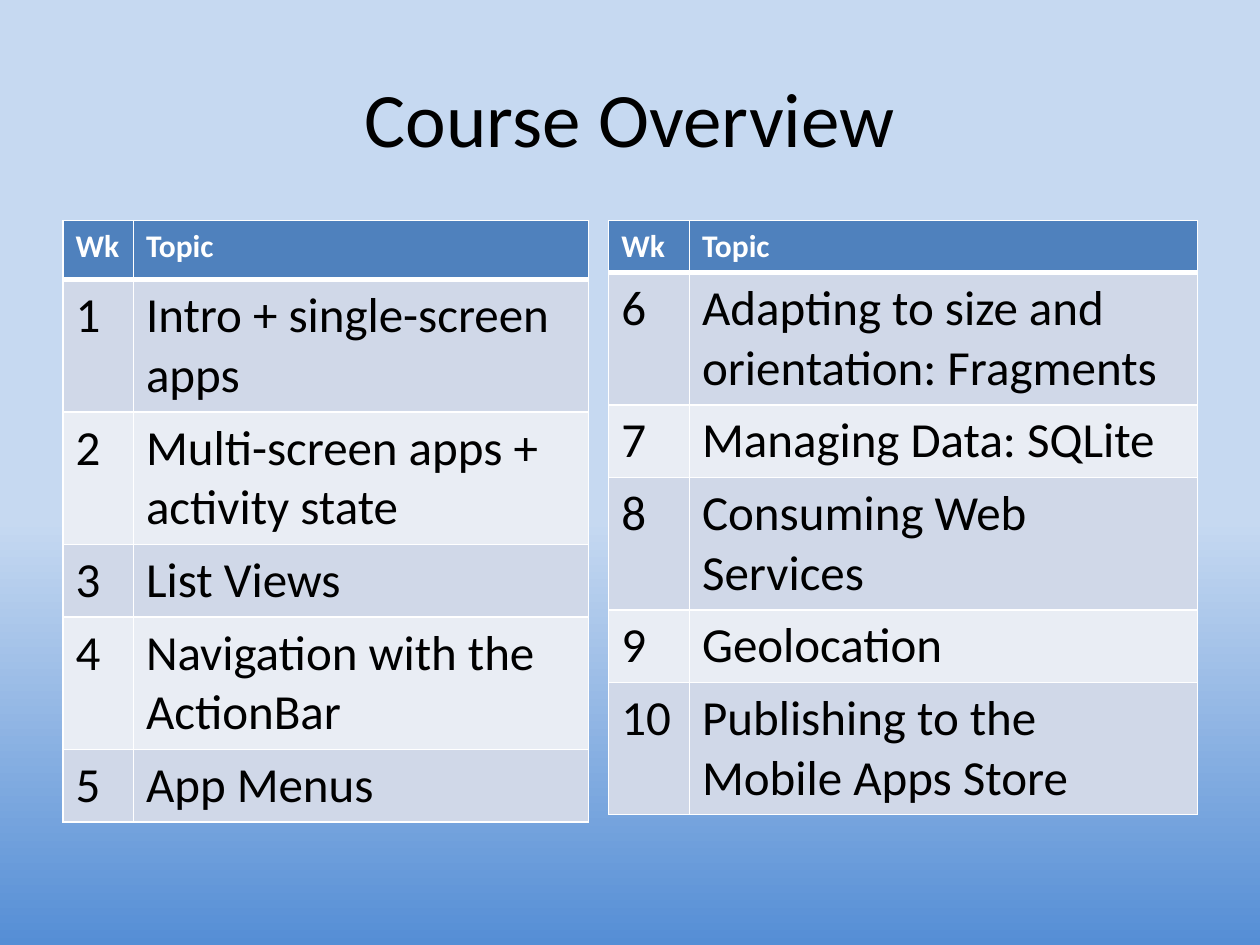
import lxml.etree
import pptx
import pptx.dml.color
import pptx.enum.text
import pptx.oxml.ns
import pptx.util
from pptx.util import Cm

TITLE = "Course Overview"
HEADER = ("Wk", "Topic")
TABLES = [
    {
        "left": 1.27,
        "columns": (1.42, 9.17),
        "rows": (1.19, 1.19, 1.19, 1.19, 1.19, 1.19),
        "weeks": [
            ("1", "Intro + single-screen apps"),
            ("2", "Multi-screen apps + activity state"),
            ("3", "List Views"),
            ("4", "Navigation with the ActionBar"),
            ("5", "App Menus"),
        ],
    },
    {
        "left": 12.27,
        "columns": (1.63, 10.24),
        "rows": (1.04, 2.67, 1.45, 2.67, 1.45, 2.67),
        "weeks": [
            ("6", "Adapting to size and orientation: Fragments"),
            ("7", "Managing Data: SQLite"),
            ("8", "Consuming Web Services"),
            ("9", "Geolocation"),
            ("10", "Publishing to the Mobile Apps Store"),
        ],
    },
]
TABLE_TOP = 4.45
THEME = {
    "font": "Calibri",
    "title_size": 44,
    "header_size": 18,
    "body_size": 28,
    "text": "000000",
    "header_text": "FFFFFF",
    "header_fill": "4F81BD",
    "bands": ("D0D8E8", "E9EDF4"),
    "border": "FFFFFF",
    "thin": 1,
    "thick": 3,
    "gradient": ((0.55, "C6D9F1"), (1, "558ED5")),
}


def color(value):
    return pptx.dml.color.RGBColor.from_string(value)


def format_paragraph(paragraph, size, text_color, bold=False):
    font = paragraph.font
    font.name = THEME["font"]
    font.size = pptx.util.Pt(size)
    font.bold = bold
    font.color.rgb = color(text_color)


def set_borders(cell, top, bottom):
    properties = cell._tc.get_or_add_tcPr()
    qualified = pptx.oxml.ns.qn
    widths = {"lnL": THEME["thin"], "lnR": THEME["thin"], "lnT": top, "lnB": bottom}
    for index, (side, width) in enumerate(widths.items()):
        line = lxml.etree.Element(qualified("a:" + side), w=str(pptx.util.Pt(width)))
        fill = lxml.etree.SubElement(line, qualified("a:solidFill"))
        lxml.etree.SubElement(fill, qualified("a:srgbClr"), val=THEME["border"])
        properties.insert(index, line)


def add_schedule(slide, schedule):
    records = [HEADER] + schedule["weeks"]
    columns, rows = schedule["columns"], schedule["rows"]
    table = slide.shapes.add_table(
        len(records), len(HEADER), Cm(schedule["left"]), Cm(TABLE_TOP),
        Cm(sum(columns)), Cm(sum(rows)),
    ).table
    for column, width in zip(table.columns, columns):
        column.width = Cm(width)
    for row_index, record in enumerate(records):
        table.rows[row_index].height = Cm(rows[row_index])
        is_header = row_index == 0
        fill = THEME["header_fill"] if is_header else THEME["bands"][(row_index - 1) % 2]
        size = THEME["header_size"] if is_header else THEME["body_size"]
        text_color = THEME["header_text"] if is_header else THEME["text"]
        top = THEME["thick"] if row_index == 1 else THEME["thin"]
        bottom = THEME["thick"] if is_header else THEME["thin"]
        for column_index, text in enumerate(record):
            cell = table.cell(row_index, column_index)
            cell.text = text
            cell.fill.solid()
            cell.fill.fore_color.rgb = color(fill)
            format_paragraph(cell.text_frame.paragraphs[0], size, text_color, is_header)
            set_borders(cell, top, bottom)


def add_background(slide):
    fill = slide.background.fill
    fill.gradient()
    fill.gradient_angle = 270
    for stop, (position, value) in zip(fill.gradient_stops, THEME["gradient"]):
        stop.position = position
        stop.color.rgb = color(value)


def add_title(slide):
    title = slide.shapes.title
    title.left, title.top, title.width, title.height = Cm(1.27), Cm(0.76), Cm(22.86), Cm(3.18)
    title.text_frame.text = TITLE
    title.text_frame.vertical_anchor = pptx.enum.text.MSO_ANCHOR.MIDDLE
    paragraph = title.text_frame.paragraphs[0]
    paragraph.alignment = pptx.enum.text.PP_ALIGN.CENTER
    format_paragraph(paragraph, THEME["title_size"], THEME["text"])


def main():
    presentation = pptx.Presentation()
    presentation.slide_width, presentation.slide_height = Cm(25.4), Cm(19.05)
    slide = presentation.slides.add_slide(presentation.slide_layouts.get_by_name("Title Only"))
    add_background(slide)
    add_title(slide)
    for schedule in TABLES:
        add_schedule(slide, schedule)
    presentation.save("out.pptx")


if __name__ == "__main__":
    main()
